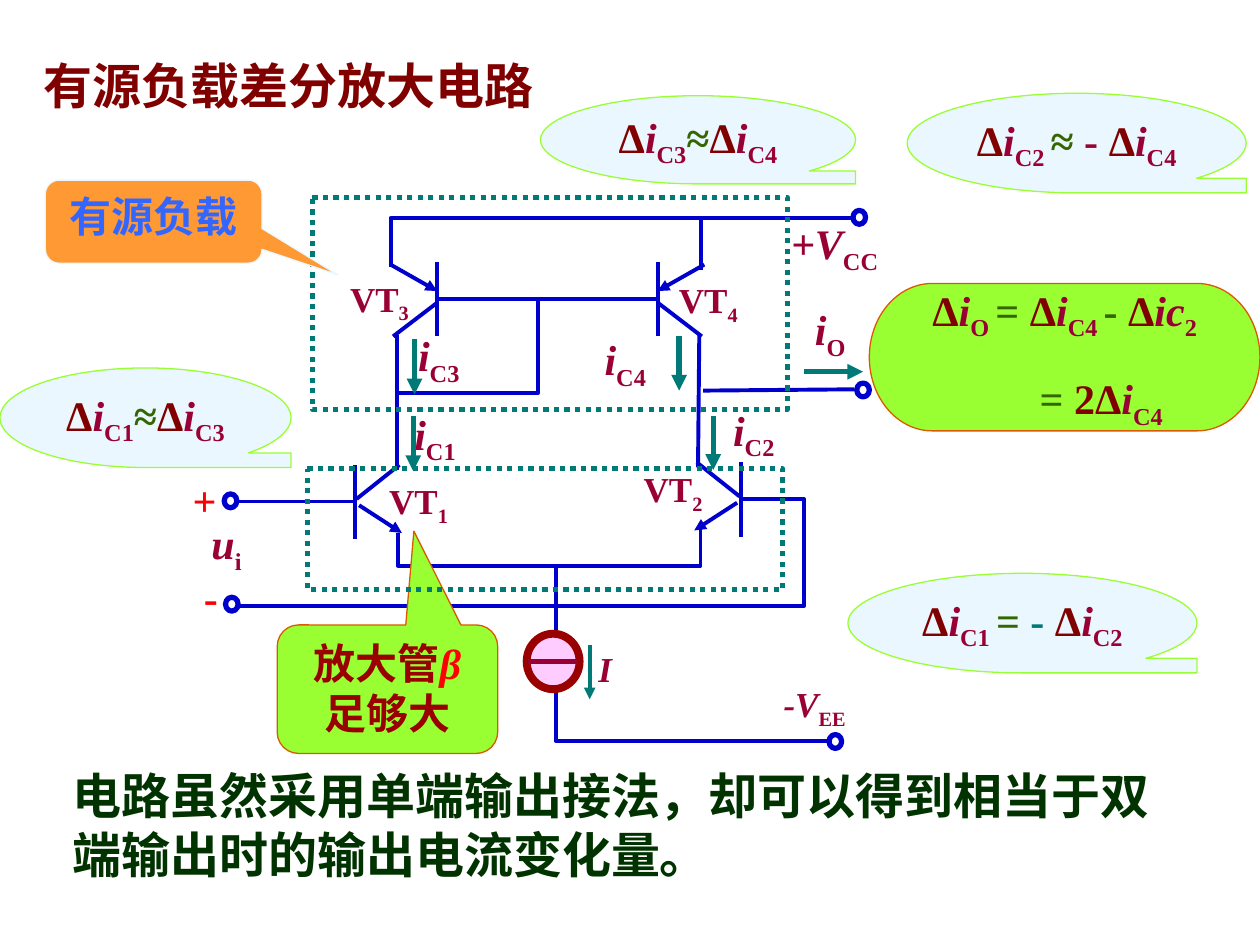
from lxml.etree import SubElement
from pptx import Presentation
from pptx.dml.color import RGBColor
from pptx.enum.dml import MSO_LINE
from pptx.enum.shapes import MSO_CONNECTOR, MSO_SHAPE
from pptx.enum.text import MSO_ANCHOR, MSO_AUTO_SIZE, PP_ALIGN
from pptx.oxml.ns import qn
from pptx.util import Pt

PX = 9144
FONT = "Times New Roman"
BLUE = RGBColor(0x00, 0x00, 0xCC)
TEAL = RGBColor(0x00, 0x7A, 0x77)
WINE = RGBColor(0x99, 0x00, 0x33)
DARK = RGBColor(0x80, 0x00, 0x00)
BRICK = RGBColor(0x99, 0x00, 0x00)
RED = RGBColor(0xFF, 0x00, 0x00)
MOSS = RGBColor(0x33, 0x66, 0x00)
PINE = RGBColor(0x00, 0x33, 0x00)
LIME = RGBColor(0x99, 0xFF, 0x33)
RUST = RGBColor(0xDC, 0x59, 0x00)
ICE = RGBColor(0xEB, 0xF7, 0xFF)
PINK = RGBColor(0xFF, 0xCC, 0xFF)
GOLD = RGBColor(0xFF, 0x99, 0x33)
SKY = RGBColor(0x33, 0x66, 0xFF)


def emu(*nums):
    """Turn px into EMU."""
    return [num * PX for num in nums]


def write(para, runs, size=24):
    """Fill a paragraph with (text, colour, style) runs; i is italic, s is subscript."""
    for text, tint, style in runs:
        run = para.add_run()
        run.text = text
        font = run.font
        font.name, font.size, font.bold = FONT, Pt(size), True
        font.italic = style == "i"
        font.color.rgb = tint
        if style == "s":
            run._r.get_or_add_rPr().set("baseline", "-25000")


def label(slide, box, runs, size=24):
    """Place a text box with one paragraph."""
    frame = slide.shapes.add_textbox(*emu(*box)).text_frame
    frame.word_wrap = True
    frame.auto_size = MSO_AUTO_SIZE.SHAPE_TO_FIT_TEXT
    write(frame.paragraphs[0], runs, size)


def paint(shape, fill, edge, width):
    """Set fill and outline, without shadow."""
    shape.shadow.inherit = False
    if fill is None:
        shape.fill.background()
    else:
        shape.fill.solid()
        shape.fill.fore_color.rgb = fill
    shape.line.color.rgb = edge
    shape.line.width = Pt(width)


def solid(slide, kind, box, fill, edge, width=0.75):
    """Place a preset shape."""
    shape = slide.shapes.add_shape(kind, *emu(*box))
    paint(shape, fill, edge, width)
    return shape


def line(slide, start, end, tint=BLUE, width=2.25, arrow=False):
    """Draw a straight line, with an arrowhead at its end if asked."""
    link = slide.shapes.add_connector(MSO_CONNECTOR.STRAIGHT, *emu(*start, *end))
    link.line.color.rgb = tint
    link.line.width = Pt(width)
    props = link._element.spPr
    if arrow:
        SubElement(props.find(qn("a:ln")), qn("a:tailEnd"), type="triangle")
    SubElement(props, qn("a:effectLst"))


def trace(slide, points, tint=BLUE, width=2.25, close=False):
    """Draw an unfilled run of straight segments."""
    pen = slide.shapes.build_freeform(*points[0], scale=PX)
    pen.add_line_segments(points[1:], close=close)
    shape = pen.convert_to_shape()
    paint(shape, None, tint, width)
    return shape


def gate(slide, x, y, side, load=False):
    """Draw a transistor round its base bar; side is the way its leads point."""
    line(slide, (x, y - 29), (x, y + 30))
    if load:
        line(slide, (x + 37 * side, y - 27), (x, y - 6), arrow=True)
        line(slide, (x + 35 * side, y + 30), (x + side, y + 4))
    else:
        line(slide, (x + 3 * side, y + 3), (x + 37 * side, y + 25), arrow=True)
        line(slide, (x + 35 * side, y - 29), (x + side, y - 2))


def wiring(slide, left, top):
    """Draw wires, transistors, terminals and the current source."""
    def at(x, y):
        return left + x, top + y

    paths = [
        [(341, 350), (341, 488), (557, 488)],
        [(210, 112), (210, 73), (575, 73)],
        [(489, 296), (538, 296), (538, 381), (90, 381)],
        [(216, 323), (216, 349), (456, 349), (456, 320)],
        [(216, 212), (327, 212), (327, 139)],
    ]
    for points in paths:
        trace(slide, [at(*point) for point in points])
    lines = [
        ((89, 298), (182, 298)), ((458, 210), (578, 209)),
        ((247, 137), (422, 137)), ((215, 166), (215, 273)),
        ((454, 271), (455, 165)), ((456, 114), (456, 73)),
    ]
    for start, end in lines:
        line(slide, at(*start), at(*end))
    gates = [
        (1, 182, 298, 1, (199, 276)), (2, 488, 296, -1, (401, 266)),
        (3, 247, 137, -1, (168, 115)), (4, 422, 137, 1, (429, 116)),
    ]
    for num, x, y, side, spot in gates:
        gate(slide, *at(x, y), side, load=num > 2)
        label(slide, (*at(*spot), 93, 48), [("VT", WINE, ""), (str(num), WINE, "s")], 20)
    for spot in [(577, 67), (558, 483), (78, 292), (79, 374), (580, 204)]:
        solid(slide, MSO_SHAPE.OVAL, (*at(*spot), 10, 11), None, BLUE, 3)
    solid(slide, MSO_SHAPE.OVAL, (*at(318, 403), 42, 44), PINK, BRICK, 4.5)
    line(slide, at(319, 425), at(359, 425), WINE, 3)
    line(slide, at(368, 412), at(368, 455), TEAL, arrow=True)


def marks(slide, left, top):
    """Name the voltages and currents of the circuit."""
    volts = [
        (518, 68, 113, "+V", "CC", 24), (512, 437, 115, "-V", "EE", 20),
        (58, 306, 64, "u", "i", 24),
    ]
    for x, y, wide, name, sub, size in volts:
        runs = [(name, WINE, "i"), (sub, WINE, "s")]
        label(slide, (left + x, top + y, wide, 56), runs, size)
    label(slide, (left + 365, top + 409, 45, 44), [("I", WINE, "i")], 20)
    for x, y, sign in [(43, 272, "+"), (52, 349, "-")]:
        label(slide, (left + x, top + y, 42, 50), [(sign, RED, "")])
    flows = [
        ("C3", 222, 157, 229, 169, 0, 44), ("C1", 219, 219, 228, 230, 0, 44),
        ("C2", 472, 216, 466, 230, 0, 43), ("C4", 370, 160, 439, 167, 0, 43),
        ("O", 537, 136, 538, 195, 47, 0),
    ]
    for sub, x, y, tailx, taily, wide, high in flows:
        label(slide, (left + x, top + y, 76, 56), [("i", WINE, "i"), (sub, WINE, "s")])
        start = left + tailx, top + taily
        line(slide, start, (start[0] + wide, start[1] + high), TEAL, 3, True)


def delta(sub, name="i", head="Δ"):
    """Give the runs of a current change."""
    return [(head, DARK, ""), (name, WINE, "i"), (sub, WINE, "s")]


def bubble(slide, box, runs):
    """Place a pale bubble with a formula."""
    shape = solid(slide, MSO_SHAPE.FLOWCHART_SEQUENTIAL_ACCESS_STORAGE, box, ICE, LIME)
    frame = shape.text_frame
    frame.word_wrap = False
    frame.vertical_anchor = MSO_ANCHOR.MIDDLE
    frame.paragraphs[0].alignment = PP_ALIGN.CENTER
    write(frame.paragraphs[0], runs)


def result(slide, box):
    """Place the output current formula in two lines."""
    frame = solid(slide, MSO_SHAPE.FLOWCHART_TERMINATOR, box, LIME, RUST).text_frame
    frame.word_wrap = False
    frame.vertical_anchor = MSO_ANCHOR.MIDDLE
    first, last = frame.paragraphs[0], frame.add_paragraph()
    first.alignment = last.alignment = PP_ALIGN.CENTER
    write(first, delta("O ") + [("= ", MOSS, "")] + delta("C4 ")
          + [("- ", MOSS, "")] + delta("2", "ic"))
    last._p.get_or_add_pPr().set("marL", str(58 * PX))
    last.space_before = Pt(18)
    write(last, [("= ", MOSS, "")] + delta("C4", head="2Δ"))


def callout(slide, box, tip, fill, edge, runs):
    """Place a rounded callout pointing at tip."""
    shape = solid(slide, MSO_SHAPE.ROUNDED_RECTANGULAR_CALLOUT, box, fill, edge)
    shape.adjustments[0], shape.adjustments[1] = tip
    frame = shape.text_frame
    frame.word_wrap = True
    frame.vertical_anchor = MSO_ANCHOR.TOP
    frame.paragraphs[0].alignment = PP_ALIGN.CENTER
    write(frame.paragraphs[0], runs)


def main():
    """Build the slide and save it."""
    deck = Presentation()
    deck.slide_width, deck.slide_height = emu(1000, 750)
    slide = deck.slides.add_slide(deck.slide_layouts[6])
    wiring(slide, 100, 100)
    near = [("≈", MOSS, "")]
    bubble(slide, (720, 74, 269, 79),
           delta("C2 ") + [("≈ ", MOSS, ""), ("- ", WINE, "")] + delta("C4"))
    bubble(slide, (429, 76, 250, 70), delta("C3") + near + delta("C4"))
    bubble(slide, (0, 292, 231, 79), delta("C1") + near + delta("C3"))
    bubble(slide, (673, 455, 277, 79),
           delta("C1 ") + [("=", MOSS, ""), (" - ", TEAL, "")] + delta("C2"))
    result(slide, (690, 225, 310, 117))
    callout(slide, (220, 496, 175, 102), (0.12, -1.23), LIME, RUST,
            [("放大管", BRICK, ""), ("β ", RED, "i"), ("足够大", BRICK, "")])
    marks(slide, 100, 100)
    label(slide, (48, 603, 896, 104),
          [("电路虽然采用单端输出接法，却可以得到相当于双端输出时的输出电流变化量。", PINE, "")], 28)
    for x, y, wide, high in [(248, 157, 377, 168), (244, 372, 377, 96)]:
        points = [(x, y), (x + wide, y), (x + wide, y + high), (x, y + high)]
        trace(slide, points, TEAL, 3, True).line.dash_style = MSO_LINE.ROUND_DOT
    callout(slide, (36, 143, 172, 66), (0.85, 0.64), GOLD, ICE, [("有源负载", SKY, "")])
    label(slide, (25, 39, 506, 57), [("有源负载差分放大电路", DARK, "")], 28)
    deck.save("out.pptx")


if __name__ == "__main__":
    main()
